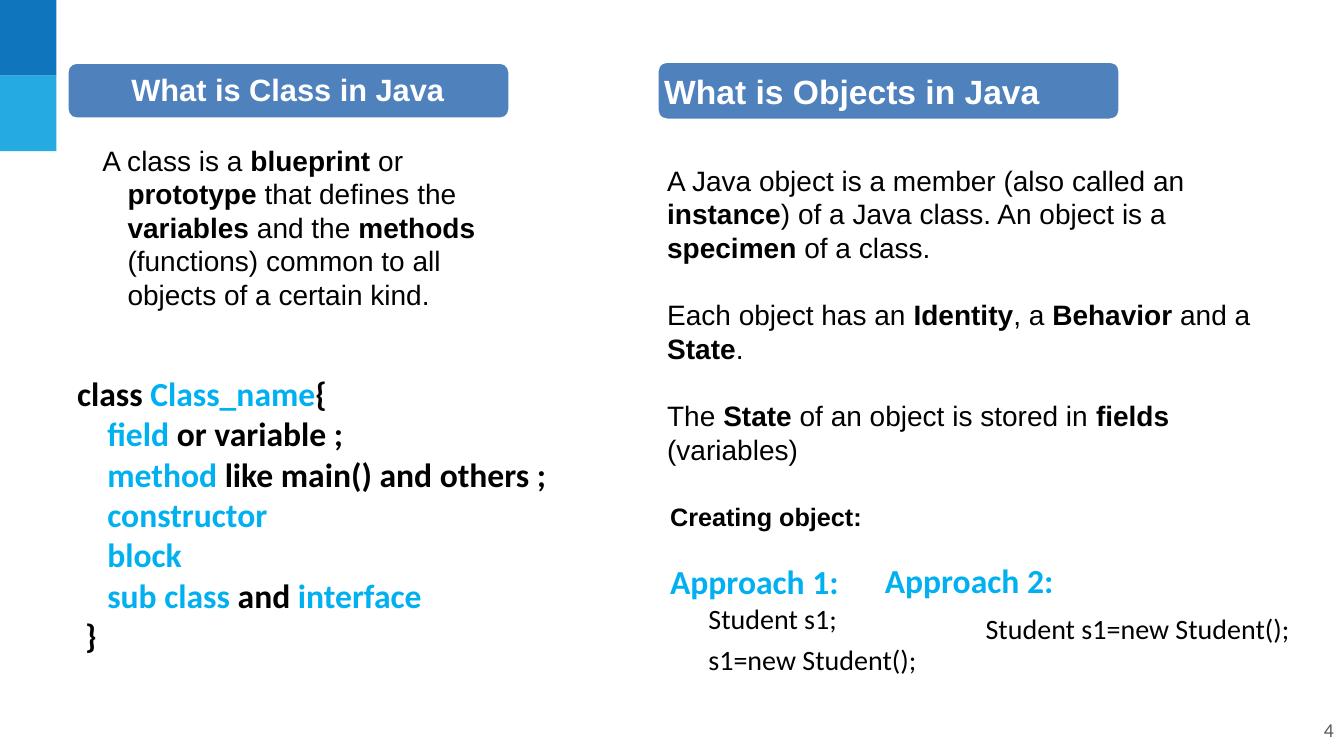
from pptx import Presentation
from pptx.dml.color import RGBColor
from pptx.enum.shapes import MSO_SHAPE
from pptx.enum.text import MSO_ANCHOR, MSO_AUTO_SIZE, PP_ALIGN
from pptx.util import Inches, Pt

COLORS = {
    "dark_blue": "0F75BD", "light_blue": "25AAE2", "banner": "4F81BD",
    "white": "FFFFFF", "black": "000000", "accent": "00B0F0", "grey": "595959",
}
COLUMNS, ROWS = 80, 45
TITLE_ONLY = 5


def color(name):
    return RGBColor.from_string(COLORS[name])


class SlideBuilder:
    """Draws on one page; places are (column, row, columns wide, rows high)."""

    def __init__(self, deck):
        self.page = deck.slides.add_slide(deck.slide_layouts[TITLE_ONLY])
        self.column = deck.slide_width / COLUMNS
        self.row = deck.slide_height / ROWS

    def place(self, left, top, width, height):
        return (round(left * self.column), round(top * self.row),
                round(width * self.column), round(height * self.row))

    def block(self, place, fill, kind=MSO_SHAPE.RECTANGLE, line=None):
        shape = self.page.shapes.add_shape(kind, *self.place(*place))
        shape.shadow.inherit = False
        shape.fill.solid()
        shape.fill.fore_color.rgb = color(fill)
        if line:
            shape.line.color.rgb = color(line)
            shape.line.width = Pt(2)
        else:
            shape.line.fill.background()
        return shape

    def box(self, place, inset=(0.1, 0.05), anchor=MSO_ANCHOR.TOP):
        box = self.page.shapes.add_textbox(*self.place(*place))
        self.frame(box, inset, anchor)
        return box

    def frame(self, box, inset, anchor):
        frame = box.text_frame
        frame.word_wrap = True
        frame.auto_size = MSO_AUTO_SIZE.NONE
        frame.vertical_anchor = anchor
        frame.margin_left = frame.margin_right = Inches(inset[0])
        frame.margin_top = frame.margin_bottom = Inches(inset[1])

    def title(self, place, inset):
        title = self.page.shapes.title
        title.left, title.top, title.width, title.height = self.place(*place)
        self.frame(title, inset, MSO_ANCHOR.MIDDLE)
        return title

    def banner(self, place, label, text, size, align):
        shape = self.block(place, "banner", MSO_SHAPE.ROUNDED_RECTANGLE, "white")
        label.element.addprevious(shape.element)
        label.text_frame.text = text
        para = label.text_frame.paragraphs[0]
        para.alignment, para.line_spacing = align, 0.9
        self.style(para.runs[0], size, "Arial", "white", True)

    def style(self, span, size, font, ink, bold):
        span.font.size, span.font.name, span.font.bold = Pt(size), font, bold
        span.font.color.rgb = color(ink)

    def para(self, box, text, size, font, ink="black", bold=False, marked=None,
             before=0, left=0, first=0, spacing=None, align=PP_ALIGN.LEFT):
        """Adds a paragraph; parts between bars are bold, or take the marked ink."""
        frame = box.text_frame
        para = frame.add_paragraph() if frame.text else frame.paragraphs[0]
        para.alignment = align
        para.space_before = Pt(before)
        para.line_spacing = spacing or Pt(1.2 * size)
        properties = para._p.get_or_add_pPr()
        properties.set("marL", str(Inches(left)))
        properties.set("indent", str(Inches(first)))
        for index, part in enumerate(text.split("|")):
            if part:
                span = para.add_run()
                span.text = part
                strong = index % 2 == 1
                self.style(span, size, font, marked if strong and marked else ink,
                           bold or strong)


def main():
    deck = Presentation()
    deck.slide_width, deck.slide_height = Inches(40 / 3), Inches(7.5)
    slide = SlideBuilder(deck)

    # Corner blocks
    for index, fill in enumerate(("dark_blue", "light_blue")):
        slide.block((0, index * 4.5, 3.36, 4.5), fill)

    # Headings
    class_label = slide.title((4.14, 3.9, 25.98, 3.06), (0.09, 0.09))
    slide.banner((4, 3.72, 26.34, 3.36), class_label,
                 "What is Class in Java", 22, PP_ALIGN.CENTER)
    object_label = slide.box((39.3, 4, 27.42, 3.12), (0.04, 0.04), MSO_ANCHOR.MIDDLE)
    slide.banner((39.12, 3.66, 27.54, 3.48), object_label,
                 "What is Objects in Java", 24, PP_ALIGN.LEFT)

    # Class definition
    definition = slide.box((4, 8.22, 26.34, 11.34))
    slide.para(definition, "A class is a |blueprint| or |prototype| that defines the "
               "|variables| and the |methods| (functions) common to all objects "
               "of a certain kind.", 20, "Arial", before=2.8, left=0.5, first=-0.25)

    # Class syntax
    syntax = slide.box((4, 21.6, 33.54, 18.78), (0.1, 0.1))
    for text, left in (
        ("class |Class_name|{", 0),
        ("|field| or variable ;", 0.3),
        ("|method| like main() and others ;", 0.3),
        ("|constructor|", 0.3),
        ("|block|", 0.3),
        ("|sub class| and |interface|", 0.3),
        ("}", 0.08),
    ):
        slide.para(syntax, text, 24, "Calibri", bold=True, marked="accent", left=left)

    # Object description
    description = slide.box((39.12, 9.42, 36.06, 18.78))
    for index, text in enumerate((
        "A Java object is a member (also called an |instance|) of a Java class. "
        "An object is a |specimen| of a class.",
        "Each object has an |Identity|, a |Behavior| and a |State|.",
        "The |State| of an object is stored in |fields| (variables)",
    )):
        slide.para(description, text, 20, "Arial", before=24 if index else 0)

    # Creating an object: two approaches
    creation = slide.box((39.3, 29.52, 16.8, 12.96))
    slide.para(creation, "Creating object:", 18, "Arial", bold=True)
    slide.para(creation, "Approach 1:", 24, "Calibri", "accent", True, before=21.6)
    slide.para(creation, "Student s1;", 20, "Calibri", left=0.38)
    slide.para(creation, "s1=new Student();", 20, "Calibri", before=4.8, left=0.38)

    shortcut = slide.box((52.08, 32.7, 26.22, 6.36), (0.1, 0.1))
    slide.para(shortcut, "Approach 2:", 24, "Calibri", "accent", True)
    slide.para(shortcut, "Student s1=new Student();", 20, "Calibri",
               before=4.8, left=1, spacing=1.15)

    # Page number
    number = slide.box((61.32, 42.24, 18.66, 2.4), anchor=MSO_ANCHOR.MIDDLE)
    slide.para(number, "4", 14, "Calibri", "grey", align=PP_ALIGN.RIGHT)

    deck.save("out.pptx")


if __name__ == "__main__":
    main()
